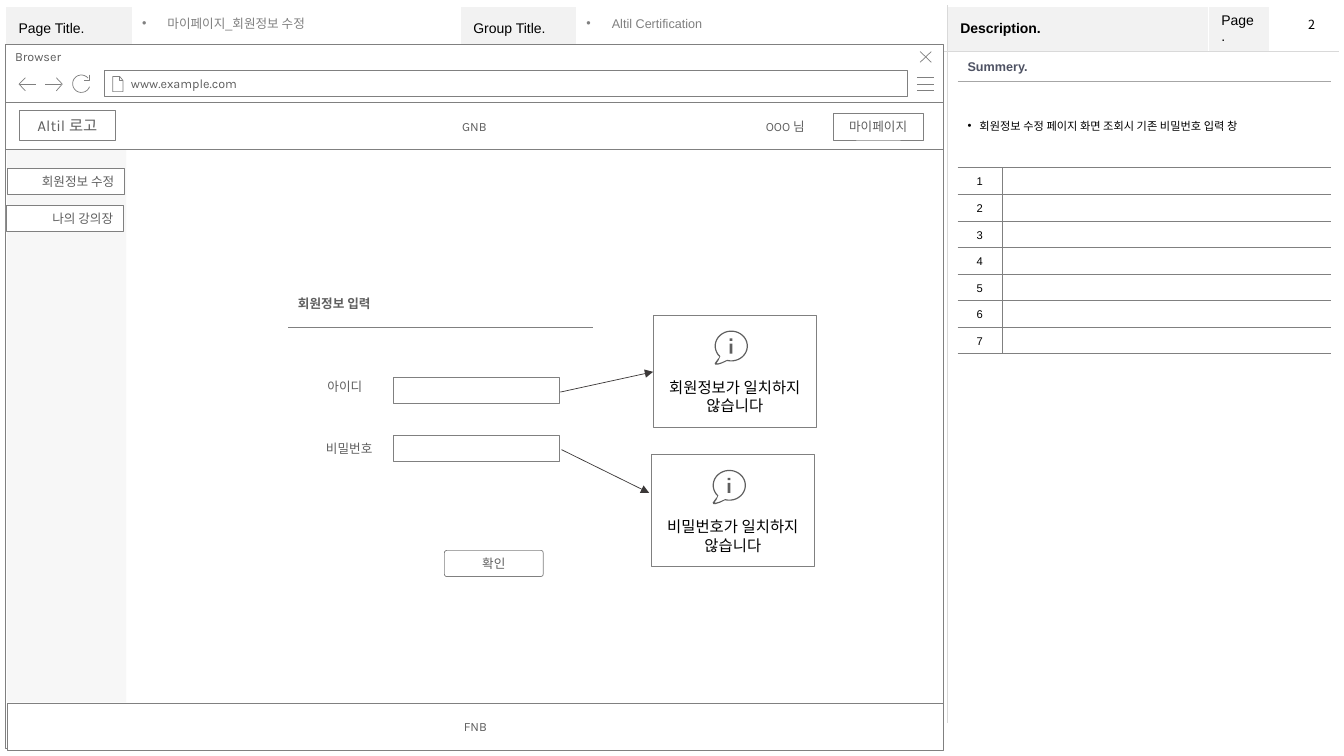
from dataclasses import dataclass
from math import cos, radians, sin

from lxml.etree import SubElement
from pptx import Presentation
from pptx.dml.color import RGBColor as Rgb
from pptx.enum.shapes import MSO_CONNECTOR as Link, MSO_SHAPE as Preset
from pptx.enum.text import MSO_ANCHOR as Anchor, PP_ALIGN as Align
from pptx.oxml.ns import qn
from pptx.util import Cm, Pt


@dataclass(frozen=True)
class Theme:
    white: str = "FFFFFF"
    black: str = "000000"
    panel: str = "F2F2F2"
    grid: str = "D9D9D9"
    rule: str = "A6A6A6"
    outline: str = "808080"
    ink: str = "5F5F5F"
    arrow: str = "3B3838"
    summary: str = "4E5263"
    sans: str = "Arial"
    wire: str = "Karla"
    korean: str = "Noto Sans CJK KR"
    tiny: int = 8
    small: int = 9
    label: int = 10
    large: int = 11


theme = Theme()


def write(frame, text, size=theme.small, colour=theme.ink, font=theme.wire,
          align=Align.LEFT, bold=False, spacing=None, bullet=None):
    paragraph = frame.paragraphs[0]
    paragraph.alignment = align
    paragraph.line_spacing = spacing
    if bullet:
        properties = paragraph._p.get_or_add_pPr()
        properties.set("marL", str(Cm(bullet)))
        properties.set("indent", str(-Cm(bullet)))
        SubElement(properties, qn("a:buFont"), typeface=theme.sans)
        SubElement(properties, qn("a:buChar"), char="•")
    run = paragraph.add_run()
    run.text = text
    run.font.size = Pt(size)
    run.font.bold = bold
    run.font.name = font
    run.font.color.rgb = Rgb.from_string(colour)
    SubElement(run._r.get_or_add_rPr(), qn("a:ea"), typeface=theme.korean)


def draw(contours, closed=False, filled=False):
    builder = None
    for contour in contours:
        points = [(Cm(x), Cm(y)) for x, y in contour]
        if builder is None:
            builder = slide.shapes.build_freeform(*points[0])
        else:
            builder.move_to(*points[0])
        builder.add_line_segments(points[1:], close=closed)
    icon = builder.convert_to_shape()
    icon.shadow.inherit = False
    if filled:
        icon.fill.solid()
        icon.fill.fore_color.rgb = Rgb.from_string(theme.ink)
        icon.line.fill.background()
    else:
        icon.fill.background()
        icon.line.color.rgb = Rgb.from_string(theme.outline)
        icon.line.width = Pt(0.5)


deck = Presentation()
deck.slide_width, deck.slide_height = Cm(33.87), Cm(19.05)
slide = deck.slides.add_slide(deck.slide_layouts[6])

page_widths = [3.2, 8.26, 2.92, 9.35, 6.58, 1.55, 1.73]
page_heights = [1.12, 16.94]
page_grid = slide.shapes.add_table(2, 7, Cm(0.14), Cm(0.15), Cm(33.59), Cm(18.06)).table
note_widths = [1.12, 8.28]
note_heights = [0.71, 2.18] + [0.67] * 7
notes = slide.shapes.add_table(9, 2, Cm(24.13), Cm(1.33), Cm(9.4), Cm(7.58)).table
for grid, widths, heights in ((page_grid, page_widths, page_heights),
                              (notes, note_widths, note_heights)):
    grid.first_row = grid.horz_banding = False
    for column, width in zip(grid.columns, widths):
        column.width = Cm(width)
    for row, height in zip(grid.rows, heights):
        row.height = Cm(height)
    for cell in grid.iter_cells():
        cell.fill.background()
        cell.vertical_anchor = Anchor.MIDDLE
page_grid.cell(1, 0).merge(page_grid.cell(1, 3))
page_grid.cell(1, 4).merge(page_grid.cell(1, 6))
for row in range(2):
    notes.cell(row, 0).merge(notes.cell(row, 1))

headings = {0: "Page Title.", 2: "Group Title.", 4: "Description.", 5: "Page."}
for column, heading in headings.items():
    cell = page_grid.cell(0, column)
    cell.fill.solid()
    cell.fill.fore_color.rgb = Rgb.from_string(theme.panel)
    cell.margin_left = cell.margin_right = Cm(0.33)
    cell.margin_top = cell.margin_bottom = Cm(0.18)
    write(cell.text_frame, heading, theme.label, theme.black, theme.sans, bold=column == 4)

summary = notes.cell(0, 0)
summary.fill.solid()
summary.fill.fore_color.rgb = Rgb.from_string(theme.white)
write(summary.text_frame, "Summery.", theme.small, theme.summary, theme.sans, bold=True)
write(notes.cell(1, 0).text_frame, "회원정보 수정 페이지 화면 조회시 기존 비밀번호 입력 창",
      theme.tiny, theme.black, theme.sans, Align.JUSTIFY, spacing=1.2, bullet=0.3)
for number in range(1, 8):
    write(notes.cell(number + 1, 0).text_frame, str(number), theme.tiny, theme.black,
          theme.sans, Align.CENTER, spacing=1.2)
    blank = notes.cell(number + 1, 1).text_frame.paragraphs[0]
    SubElement(blank._p, qn("a:endParaRPr"), sz=str(theme.tiny * 100))

borders = []
for row in range(2):
    for column in range(7):
        ends_browser = column == 3 or (row, column) == (1, 0)
        edges = (column == 4, ends_browser, row == 1, row == 0)
        borders.append((page_grid.cell(row, column),
                        [theme.grid if grey else theme.white for grey in edges]))
for row in range(9):
    top = [None, theme.rule][row] if row < 2 else theme.outline
    bottom = theme.rule if row == 0 else theme.outline
    divider = theme.outline if row > 1 else None
    borders.append((notes.cell(row, 0), [None, divider, top, bottom]))
    borders.append((notes.cell(row, 1), [divider, None, top, bottom]))
for cell, colours in borders:
    properties = cell._tc.get_or_add_tcPr()
    for place, (side, colour) in enumerate(zip("LRTB", colours)):
        width = Pt(1) if colour == theme.white else Pt(0.25)
        edge = SubElement(properties, qn(f"a:ln{side}"), w=str(width))
        properties.insert(place, edge)
        if colour:
            SubElement(SubElement(edge, qn("a:solidFill")), qn("a:srgbClr"), val=colour)
        else:
            SubElement(edge, qn("a:noFill"))

left, center, right = Align.LEFT, Align.CENTER, Align.RIGHT
alerts = [(16.46, 7.95, "회원정보가 일치하지 않습니다"), (16.41, 11.46, "비밀번호가 일치하지 않습니다")]
boxes = [
    (0.13, 2.59, 23.65, 16.28, "", left, {}),
    (0.13, 1.12, 23.65, 1.5, "Browser", left, {"anchor": Anchor.TOP}),
    (2.64, 1.78, 20.24, 0.66, "www.example.com", left, {"inset": 0.66}),
    (0.18, 17.73, 23.6, 1.17, "FNB", center, {}),
    (0.18, 3.73, 3, 13.97, "", left, {"fill": theme.panel, "alpha": 60, "bare": True}),
    (0.18, 4.24, 2.95, 0.66, "회원정보 수정", right, {}),
    (0.15, 5.18, 2.95, 0.66, "나의 강의장", right, {}),
    (7.47, 9.42, 2.44, 0.66, "아이디", center, {"bare": True}),
    (7.82, 10.97, 1.96, 0.66, "비밀번호", center, {"bare": True}),
    (9.91, 9.5, 4.19, 0.66, "", left, {}),
    (9.91, 10.97, 4.19, 0.66, "", left, {}),
    (7.26, 7.32, 3, 0.66, "회원정보 입력", left, {"bare": True, "bold": True}),
    (11.2, 13.87, 2.49, 0.66, "확인", center, {"round": 0.09}),
    *[(x, y, 4.11, 2.82, "", left, {"fill": None}) for x, y, message in alerts],
    (0.13, 2.59, 23.65, 1.17, "GNB", center, {}),
    (21, 2.87, 2.26, 0.66, "마이페이지", center, {}),
    (19.05, 2.87, 1.88, 0.66, "OOO 님", left, {"bare": True}),
    (0.48, 2.79, 2.44, 0.76, "Altil 로고", center, {"size": theme.large, "wraps": False}),
]
for x, y, width, height, text, align, look in boxes:
    preset = Preset.ROUNDED_RECTANGLE if "round" in look else Preset.RECTANGLE
    box = slide.shapes.add_shape(preset, Cm(x), Cm(y), Cm(width), Cm(height))
    box.shadow.inherit = False
    if "round" in look:
        box.adjustments[0] = look["round"]
    fill = look.get("fill", theme.white)
    if fill:
        box.fill.solid()
        box.fill.fore_color.rgb = Rgb.from_string(fill)
    else:
        box.fill.background()
    if "alpha" in look:
        tint = box._element.spPr.find(qn("a:solidFill"))[0]
        SubElement(tint, qn("a:alpha"), val=str(look["alpha"] * 1000))
    if look.get("bare"):
        box.line.fill.background()
    else:
        box.line.color.rgb = Rgb.from_string(theme.outline)
        box.line.width = Pt(0.5)
    if text:
        box.text_frame.word_wrap = look.get("wraps", True)
        box.text_frame.margin_left = Cm(look.get("inset", 0.25))
        box.text_frame.vertical_anchor = look.get("anchor", Anchor.MIDDLE)
        write(box.text_frame, text, look.get("size", theme.small), align=align,
              bold=look.get("bold", False))

reload_arc = [(2.05 + 0.22 * cos(radians(a)), 2.11 + 0.22 * sin(radians(a)))
              for a in range(20, 326, 15)]
draw([[(23.11, y), (23.55, y)] for y in (1.96, 2.12, 2.28)])
draw([[(23.47, 1.3), (23.19, 1.57)], [(23.19, 1.3), (23.47, 1.57)]])
draw([[(3, 1.93), (3, 2.03), (3.1, 2.03)],
      [(2.84, 1.93), (2.84, 2.31), (3.1, 2.31), (3.1, 2.03), (3.02, 1.93), (2.84, 1.93)]])
draw([[(0.64, 2.29), (0.48, 2.12), (0.64, 1.96)], [(0.5, 2.12), (0.91, 2.12)]])
draw([[(1.42, 1.96), (1.57, 2.12), (1.42, 2.29)], [(1.55, 2.12), (1.14, 2.12)]])
draw([[(2.26, 1.88), (2.26, 2.03), (2.11, 2.03)], reload_arc])

tails = {0: [(0.05, 0.76), (0, 0.83), (0.02, 0.86), (0.08, 0.86), (0.18, 0.83)],
         0.03: [(0.1, 0.75), (0.05, 0.82), (0.08, 0.83), (0.18, 0.8)]}
bubble = [[(0.42 + (0.42 - inset) * cos(radians(a)), 0.39 + (0.39 - inset) * sin(radians(a)))
           for a in range(105, -227, -10)] + tail for inset, tail in tails.items()]
bubble += [[(0.38, top), (0.45, top), (0.45, bottom), (0.38, bottom)]
           for top, bottom in ((0.2, 0.26), (0.33, 0.58))]
heading_look = dict(colour=theme.outline, font=theme.sans, spacing=0.9, bullet=0.64)
captions = [(3.33, 0.3, 8.23, 0.61, "마이페이지_회원정보 수정", True, heading_look),
            (14.53, 0.3, 9.25, 0.61, "Altil Certification", True, heading_look),
            (32.72, 0.3, 0.69, 0.64, "2", False, dict(colour=theme.black, font=theme.korean))]
for x, y, message in alerts:
    draw([[(x + 1.55 + dx, y + 0.38 + dy) for dx, dy in contour] for contour in bubble],
         closed=True, filled=True)
    captions.append((x - 0.05, y + 1.45, 4.22, 1.19, message, True,
                     dict(size=theme.large, colour=theme.black, font=theme.korean,
                          align=center, spacing=Pt(13))))
for x, y, width, height, text, wraps, look in captions:
    frame = slide.shapes.add_textbox(Cm(x), Cm(y), Cm(width), Cm(height)).text_frame
    frame.word_wrap = wraps
    frame.vertical_anchor = Anchor.MIDDLE
    write(frame, text, **look)

for x1, y1, x2, y2, colour in ((7.26, 8.26, 14.94, 8.26, theme.outline),
                               (14.12, 9.88, 16.46, 9.37, theme.arrow),
                               (14.15, 11.33, 16.36, 12.42, theme.arrow)):
    link = slide.shapes.add_connector(Link.STRAIGHT, Cm(x1), Cm(y1), Cm(x2), Cm(y2))
    link.line.color.rgb = Rgb.from_string(colour)
    link.line.width = Pt(0.5)
    if colour == theme.arrow:
        SubElement(link.line._get_or_add_ln(), qn("a:tailEnd"), type="triangle")
    SubElement(link._element.spPr, qn("a:effectLst"))

deck.save("out.pptx")
